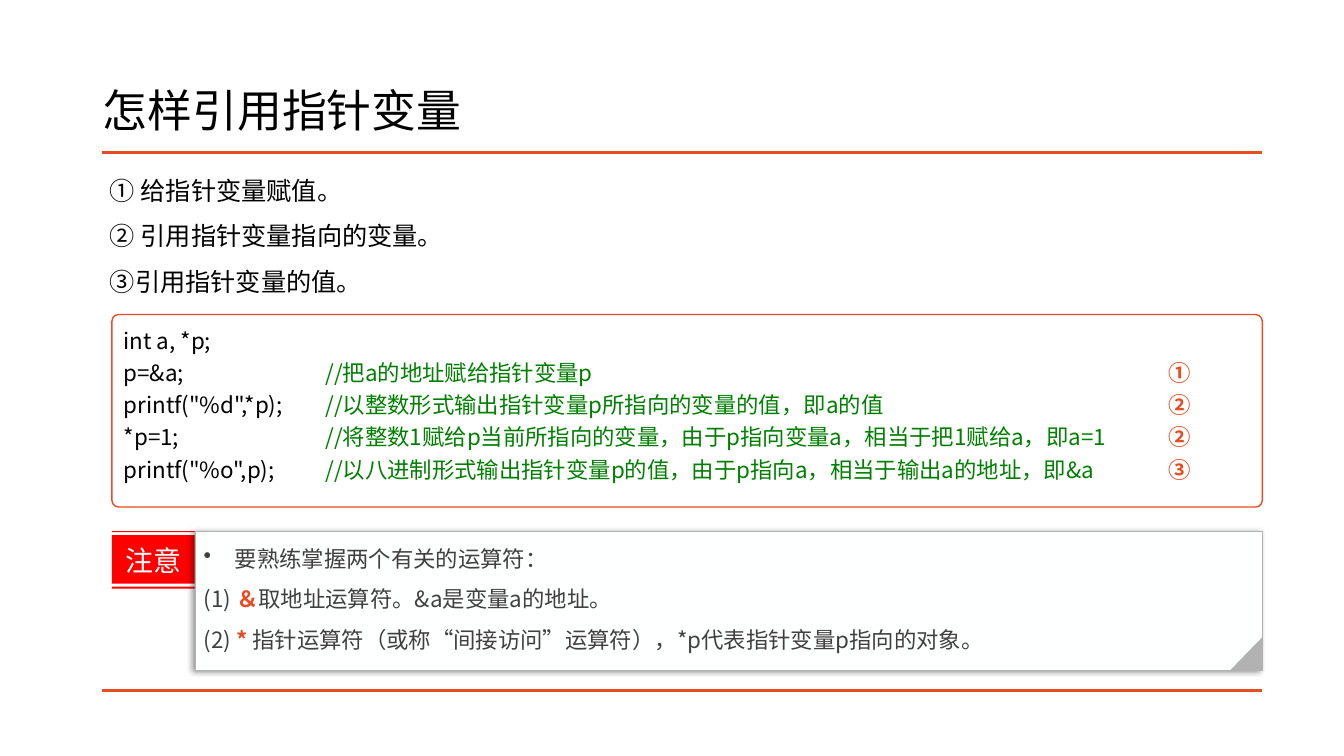
from lxml.etree import SubElement
from pptx import Presentation
from pptx.dml.color import RGBColor
from pptx.enum.shapes import MSO_CONNECTOR, MSO_SHAPE
from pptx.enum.text import MSO_ANCHOR, PP_ALIGN
from pptx.oxml.ns import qn
from pptx.util import Pt

PX = 9144
FONT = "Noto Sans CJK SC"
BLACK = RGBColor(0x00, 0x00, 0x00)
WHITE = RGBColor(0xFF, 0xFF, 0xFF)
PAPER = RGBColor(0xFE, 0xFF, 0xFF)
ORANGE = RGBColor(0xE8, 0x4C, 0x22)
GREEN = RGBColor(0x00, 0x80, 0x00)
RED = RGBColor(0xFF, 0x00, 0x00)
GRAY = RGBColor(0xB2, 0xB2, 0xB2)
DARK = RGBColor(0x40, 0x40, 0x40)

STEPS = ["① 给指针变量赋值。", "② 引用指针变量指向的变量。", "③引用指针变量的值。"]
CODE = [
    ("p=&a;", "//把a的地址赋给指针变量p", "①"),
    ('printf("%d",*p);', "//以整数形式输出指针变量p所指向的变量的值，即a的值", "②"),
    ("*p=1;", "//将整数1赋给p当前所指向的变量，由于p指向变量a，相当于把1赋给a，即a=1", "②"),
    ('printf("%o",p);', "//以八进制形式输出指针变量p的值，由于p指向a，相当于输出a的地址，即&a", "③"),
]
CODE_TABS = (200, 1036, 1076)
OPERATORS = [
    ("(1) ", "＆", "取地址运算符。&a是变量a的地址。"),
    ("(2) ", "* ", "指针运算符（或称“间接访问”运算符），*p代表指针变量p指向的对象。"),
]


class Deck:
    def __init__(self, width, height):
        self.prs = Presentation()
        self.prs.slide_width = width * PX
        self.prs.slide_height = height * PX
        self.slide = self.prs.slides.add_slide(self.prs.slide_layouts[5])
        self.shapes = self.slide.shapes

    def title(self, box, text):
        sp = self.shapes.title
        sp.left, sp.top, sp.width, sp.height = (v * PX for v in box)
        self.text(sp, [[(text, BLACK, False)]], 32, spacing=0.9, anchor=MSO_ANCHOR.MIDDLE)

    def rule(self, x, y, width):
        cxn = self.shapes.add_connector(
            MSO_CONNECTOR.STRAIGHT, x * PX, y * PX, (x + width) * PX, y * PX)
        cxn.line.color.rgb = ORANGE
        cxn.line.width = Pt(2)
        SubElement(cxn._element.spPr, qn("a:effectLst"))

    def textbox(self, box):
        return self.shapes.add_textbox(*(v * PX for v in box))

    def shape(self, kind, box, fill, line=None, weight=1):
        sp = self.shapes.add_shape(kind, *(v * PX for v in box))
        return self.paint(sp, fill, line, weight)

    def strips(self, x, width, bands, fill):
        fb = None
        for top, bottom in bands:
            if fb is None:
                fb = self.shapes.build_freeform(x, top, scale=PX)
            else:
                fb.move_to(x, top)
            fb.add_line_segments([(x + width, top), (x + width, bottom), (x, bottom)])
        return self.paint(fb.convert_to_shape(), fill)

    def paint(self, sp, fill, line=None, weight=1):
        sp.fill.solid()
        sp.fill.fore_color.rgb = fill
        if line is None:
            sp.line.fill.background()
        else:
            sp.line.color.rgb = line
            sp.line.width = Pt(weight)
        sp.shadow.inherit = False
        return sp

    def drop_shadow(self, sp):
        effects = sp._element.spPr.find(qn("a:effectLst"))
        shadow = SubElement(effects, qn("a:outerShdw"), blurRad=str(Pt(4)),
                            dist=str(Pt(3)), dir="10800000", algn="r", rotWithShape="0")
        color = SubElement(shadow, qn("a:srgbClr"), val=str(BLACK))
        SubElement(color, qn("a:alpha"), val="40000")

    def text(self, sp, paragraphs, size, spacing=1.0, after=0, align=PP_ALIGN.LEFT,
             anchor=MSO_ANCHOR.TOP, inset=None, tabs=()):
        tf = sp.text_frame
        tf.word_wrap = True
        tf.vertical_anchor = anchor
        if inset is not None:
            tf.margin_left = tf.margin_right = tf.margin_top = tf.margin_bottom = inset * PX
        for i, runs in enumerate(paragraphs):
            p = tf.add_paragraph() if i else tf.paragraphs[0]
            p.alignment = align
            p.line_spacing = spacing
            p.space_before = Pt(0)
            p.space_after = Pt(after)
            if tabs:
                stops = SubElement(p._p.get_or_add_pPr(), qn("a:tabLst"))
                for pos in tabs:
                    SubElement(stops, qn("a:tab"), pos=str(pos * PX), algn="l")
            for words, color, bold in runs:
                r = p.add_run()
                r.text = words
                r.font.size = Pt(size)
                r.font.bold = bold
                r.font.name = FONT
                r.font.color.rgb = color
                SubElement(r._r.get_or_add_rPr(), qn("a:ea"), typeface=FONT)

    def bullet(self, p, indent):
        pPr = p._p.get_or_add_pPr()
        pPr.set("marL", str(indent * PX))
        pPr.set("indent", str(-indent * PX))
        SubElement(pPr, qn("a:buChar"), char="•")


def main():
    deck = Deck(1333, 750)
    deck.title((92, 40, 1150, 145), "怎样引用指针变量")
    for y in (151, 685):
        deck.rule(101, y, 1151)

    steps = deck.textbox((101, 151, 1151, 160))
    deck.text(steps, [[(step, BLACK, False)] for step in STEPS], 18, spacing=1.5,
              align=PP_ALIGN.JUSTIFY, inset=8)

    code = deck.shape(MSO_SHAPE.ROUNDED_RECTANGLE, (111, 312, 1141, 191), WHITE, ORANGE)
    code.adjustments[0] = 0.035
    lines = [[("int a, *p;", BLACK, False)]]
    for statement, comment, mark in CODE:
        lines.append([(statement + "\t", BLACK, False), (comment + "\t", GREEN, False),
                      (mark, ORANGE, True)])
    deck.text(code, lines, 16, spacing=1.2, tabs=CODE_TABS)

    label = deck.strips(111, 82, [(582, 584), (531, 579), (527, 528)], RED)
    deck.text(label, [[("注意", PAPER, False)]], 20, align=PP_ALIGN.CENTER,
              anchor=MSO_ANCHOR.MIDDLE)

    note = deck.shape(MSO_SHAPE.RECTANGLE, (194, 527, 1058, 138), PAPER, GRAY, 0.75)
    deck.drop_shadow(note)
    lines = [[("要熟练掌握两个有关的运算符：", DARK, False)]]
    for number, operator, meaning in OPERATORS:
        lines.append([(number, DARK, False), (operator, ORANGE, True), (meaning, DARK, False)])
    deck.text(note, lines, 16, spacing=1.2, after=6, inset=8)
    deck.bullet(note.text_frame.paragraphs[0], 31)

    corner = deck.shape(MSO_SHAPE.RIGHT_TRIANGLE, (1220, 632, 33, 32), GRAY)
    corner.rotation = 270

    deck.prs.save("out.pptx")


if __name__ == "__main__":
    main()
